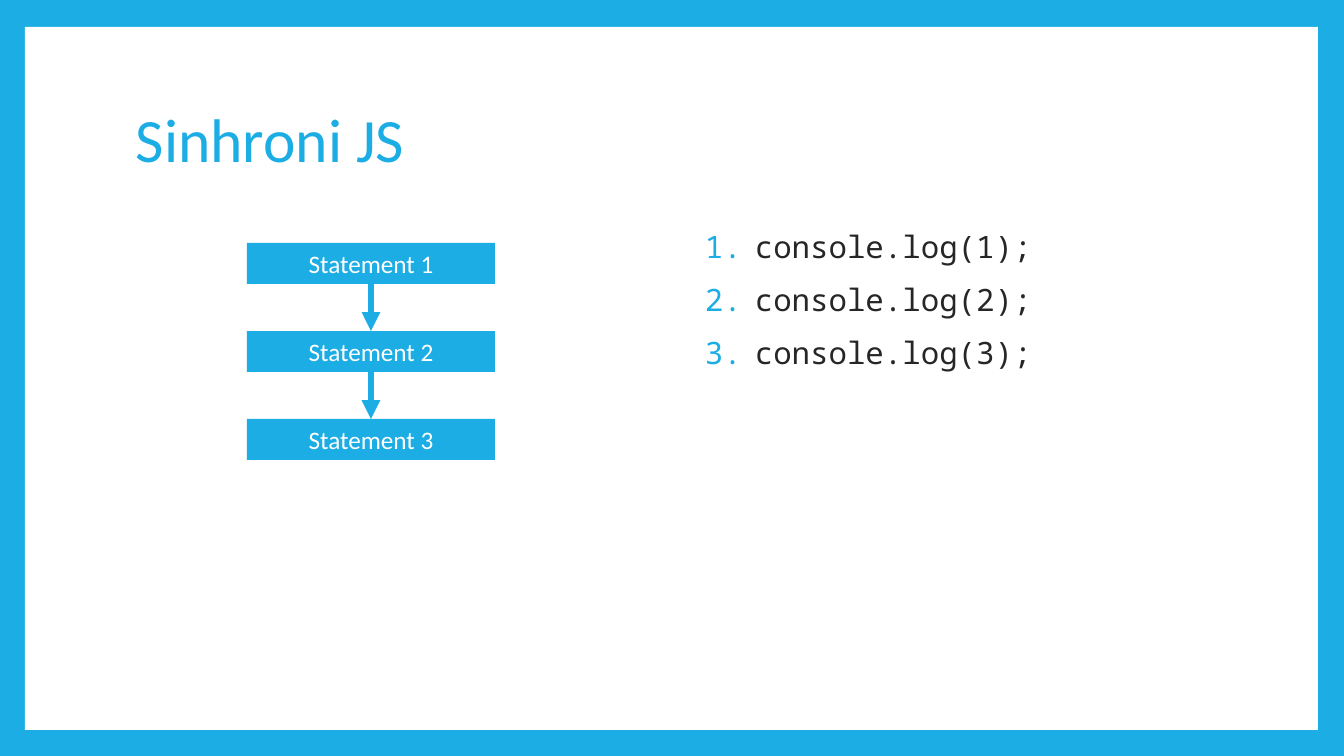
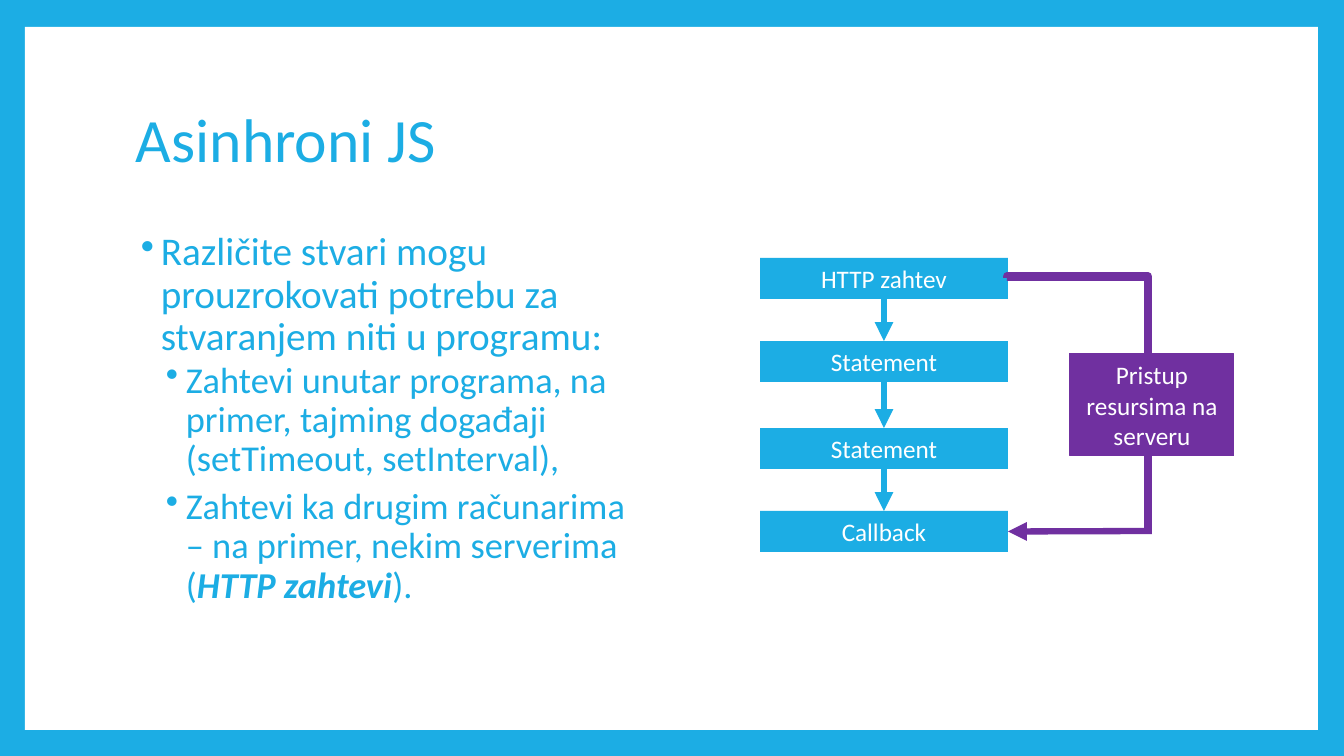
from dataclasses import dataclass
from itertools import pairwise

import pptx
import pptx.dml.color
import pptx.enum.shapes
import pptx.enum.text
import pptx.oxml
import pptx.oxml.ns
import pptx.presentation
import pptx.shapes.autoshape
import pptx.shapes.connector
import pptx.slide
import pptx.text.text
import pptx.util

RGB = pptx.dml.color.RGBColor
BLUE = RGB(0x1C, 0xAD, 0xE4)
PURPLE = RGB(0x70, 0x30, 0xA0)
WHITE = RGB(0xFF, 0xFF, 0xFF)
DARK = RGB(0x26, 0x26, 0x26)
SANS, MONO = "Calibri", "Noto Sans Mono"

RECT = pptx.enum.shapes.MSO_SHAPE.RECTANGLE
LINK = pptx.enum.shapes.MSO_CONNECTOR
BOTTOM, RIGHT, TOP = 2, 3, 0
STEP_W, STEP_H = 248, 41
NUMBER = '<a:buAutoNum {} type="arabicPeriod"/>'
DOT = '<a:buChar {} char="•"/>'


@dataclass
class Area:
    x: int
    y: int
    w: int
    h: int


@dataclass
class Style:
    size: int
    color: RGB
    font: str = SANS


@dataclass
class Item:
    """A list entry; every second text is bold italic."""
    texts: list[str]
    style: Style
    mark: str
    left: int
    hang: int
    before: int = 0


TITLE = Style(44, BLUE)
LABEL = Style(18, WHITE)
CODE = Style(22, DARK, MONO)


def px(n: int) -> pptx.util.Emu:
    return pptx.util.Emu(round(n * 914400 / 100.8))


def place(area: Area) -> list[pptx.util.Emu]:
    return [px(n) for n in (area.x, area.y, area.w, area.h)]


def paint(para: pptx.text.text._Paragraph, style: Style) -> None:
    para.font.size = pptx.util.Pt(style.size)
    para.font.name = style.font
    para.font.color.rgb = style.color


def add_xml(parent, text: str) -> None:
    parent.append(pptx.oxml.parse_xml(text.format(pptx.oxml.ns.nsdecls("a"))))


# Text
def add_text(slide: pptx.slide.Slide, area: Area) -> pptx.text.text.TextFrame:
    frame = slide.shapes.add_textbox(*place(area)).text_frame
    frame.word_wrap = True
    return frame


def add_list(slide: pptx.slide.Slide, x: int, items: list[Item]) -> None:
    frame = add_text(slide, Area(x, 227, 524, 444))
    for i, item in enumerate(items):
        para = frame.add_paragraph() if i else frame.paragraphs[0]
        para.line_spacing = 0.9
        para.space_before = pptx.util.Pt(item.before)
        props = para._p.get_or_add_pPr()
        props.set("marL", str(px(item.left)))
        props.set("indent", str(-px(item.hang)))
        add_xml(props, f'<a:buClr {{}}><a:srgbClr val="{BLUE}"/></a:buClr>')
        add_xml(props, item.mark)
        paint(para, item.style)
        for j, text in enumerate(item.texts):
            run = para.add_run()
            run.text = text
            if j % 2:
                run.font.bold = run.font.italic = True


# Boxes and lines
def add_box(slide: pptx.slide.Slide, area: Area, color: RGB,
            text: str = "") -> pptx.shapes.autoshape.Shape:
    box = slide.shapes.add_shape(RECT, *place(area))
    box.shadow.inherit = False
    box.fill.solid()
    box.fill.fore_color.rgb = color
    box.line.fill.background()
    if text:
        frame = box.text_frame
        frame.word_wrap = True
        frame.auto_size = pptx.enum.text.MSO_AUTO_SIZE.SHAPE_TO_FIT_TEXT
        para = frame.paragraphs[0]
        para.text = text
        para.alignment = pptx.enum.text.PP_ALIGN.CENTER
        paint(para, LABEL)
    return box


def add_line(slide: pptx.slide.Slide, kind: LINK, ends: tuple[int, int, int, int],
             color: RGB, width: float, head: bool) -> pptx.shapes.connector.Connector:
    line = slide.shapes.add_connector(kind, *[px(n) for n in ends])
    line.line.color.rgb = color
    line.line.width = pptx.util.Pt(width)
    if head:
        add_xml(line.line._get_or_add_ln(), '<a:tailEnd {} type="triangle"/>')
    add_xml(line._element.spPr, "<a:effectLst {}/>")
    return line


def add_steps(slide: pptx.slide.Slide, x: int,
              steps: dict[int, str]) -> list[pptx.shapes.autoshape.Shape]:
    """Stack boxes by their top edge and join each to the next."""
    boxes = [add_box(slide, Area(x, y, STEP_W, STEP_H), BLUE, text)
             for y, text in steps.items()]
    for above, below in pairwise(boxes):
        line = add_line(slide, LINK.STRAIGHT, (0, 0, 0, 0), BLUE, 4.5, True)
        line.begin_connect(above, BOTTOM)
        line.end_connect(below, TOP)
    return boxes


def add_elbow(slide: pptx.slide.Slide, area: Area) -> None:
    """Run right along the top of the area, then down its right side."""
    # A quarter turn swaps width and height about the same centre
    x = area.x + (area.w - area.h) // 2
    y = area.y + (area.h - area.w) // 2
    line = add_line(slide, LINK.ELBOW, (x, y, x + area.h, y + area.w),
                    PURPLE, 6, False)
    props = line._element.spPr
    props.xfrm.set("rot", "16200000")
    props.xfrm.set("flipH", "1")
    guides = props.find(pptx.oxml.ns.qn("a:prstGeom")).get_or_add_avLst()
    add_xml(guides, '<a:gd {} name="adj1" fmla="val -600"/>')


# Slides
def add_slide(deck: pptx.presentation.Presentation, title: str) -> pptx.slide.Slide:
    slide = deck.slides.add_slide(deck.slide_layouts[6])
    add_box(slide, Area(25, 27, 1293, 703), WHITE)
    frame = add_text(slide, Area(126, 68, 1089, 149))
    frame.vertical_anchor = pptx.enum.text.MSO_ANCHOR.MIDDLE
    para = frame.paragraphs[0]
    para.text = title
    para.line_spacing = 0.9
    paint(para, TITLE)
    return slide


def add_sync(deck: pptx.presentation.Presentation) -> None:
    slide = add_slide(deck, "Sinhroni JS")
    add_list(slide, 690, [
        Item([f"console.log({n});"], CODE, NUMBER, 55, 50, 14 if n > 1 else 0)
        for n in (1, 2, 3)])
    add_steps(slide, 247, {243 + 88 * i: f"Statement {i + 1}" for i in range(3)})


def add_async(deck: pptx.presentation.Presentation) -> None:
    slide = add_slide(deck, "Asinhroni JS")
    main, sub = Style(28, BLUE), Style(26, BLUE)
    add_list(slide, 126, [
        Item(["Različite stvari mogu prouzrokovati potrebu za stvaranjem niti "
              "u programu:"], main, DOT, 25, 20),
        Item(["Zahtevi unutar programa, na primer, tajming događaji "
              "(setTimeout, setInterval),"], sub, DOT, 50, 20, 2),
        Item(["Zahtevi ka drugim računarima – na primer, nekim serverima (",
              "HTTP zahtevi", ")."], sub, DOT, 50, 20, 6)])
    boxes = add_steps(slide, 760, {258: "HTTP zahtev", 341: "Statement",
                                   428: "Statement", 511: "Callback"})
    # Side trip to the server and back
    add_elbow(slide, Area(1007, 278, 141, 253))
    back = add_line(slide, LINK.STRAIGHT, (1152, 531, 1008, 531), PURPLE, 4.5, True)
    back.end_connect(boxes[-1], RIGHT)
    server = add_box(slide, Area(1070, 354, 164, 102), PURPLE,
                     "Pristup resursima na serveru")
    server.line.color.rgb = PURPLE
    server.line.width = pptx.util.Pt(0.75)


def main() -> None:
    deck = pptx.Presentation()
    deck.slide_width, deck.slide_height = px(1344), px(756)
    fill = deck.slide_master.background.fill
    fill.solid()
    fill.fore_color.rgb = BLUE
    add_sync(deck)
    add_async(deck)
    deck.save("out.pptx")


if __name__ == "__main__":
    main()
